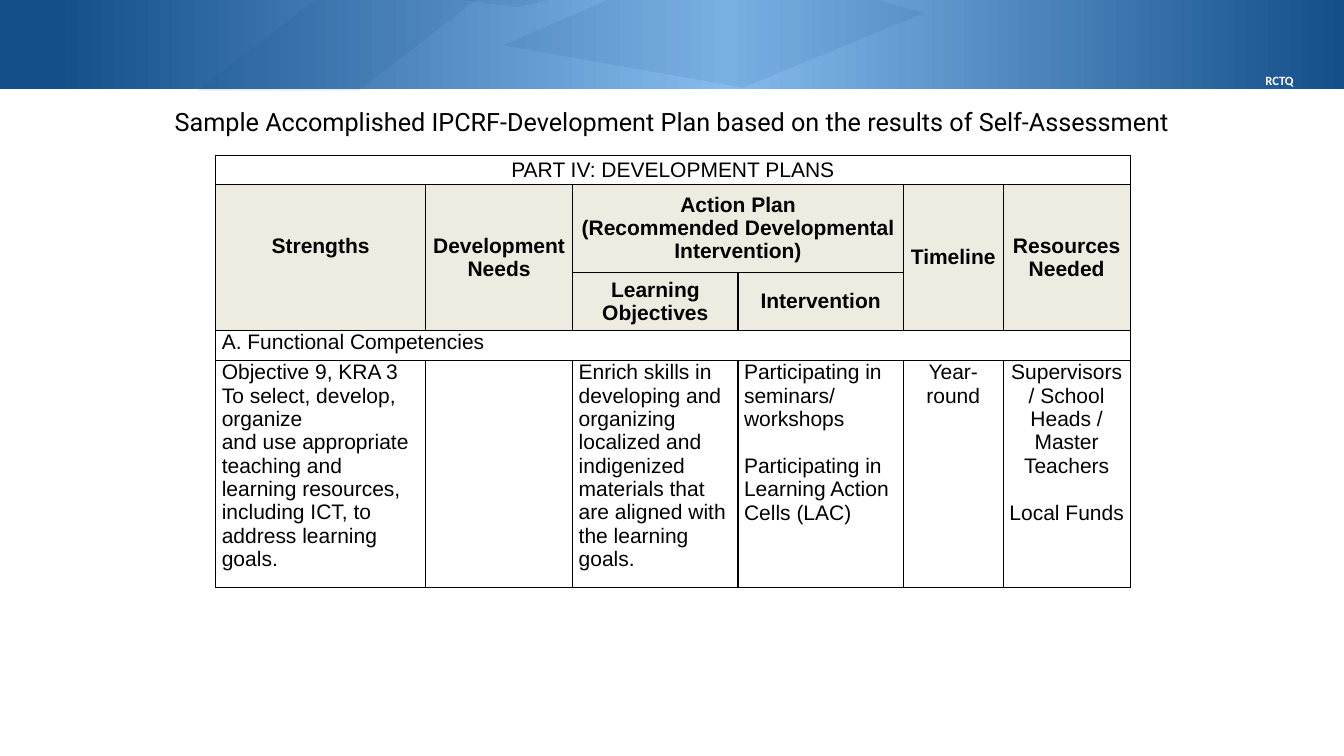
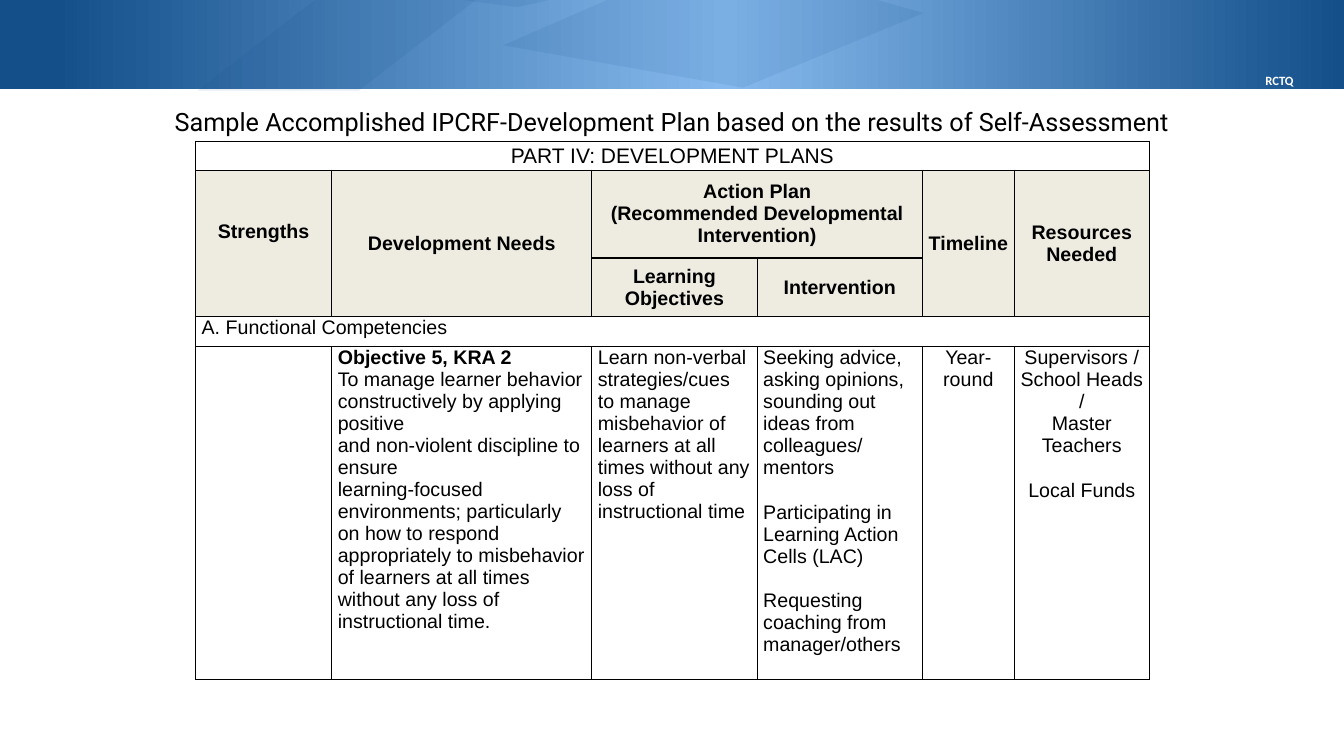
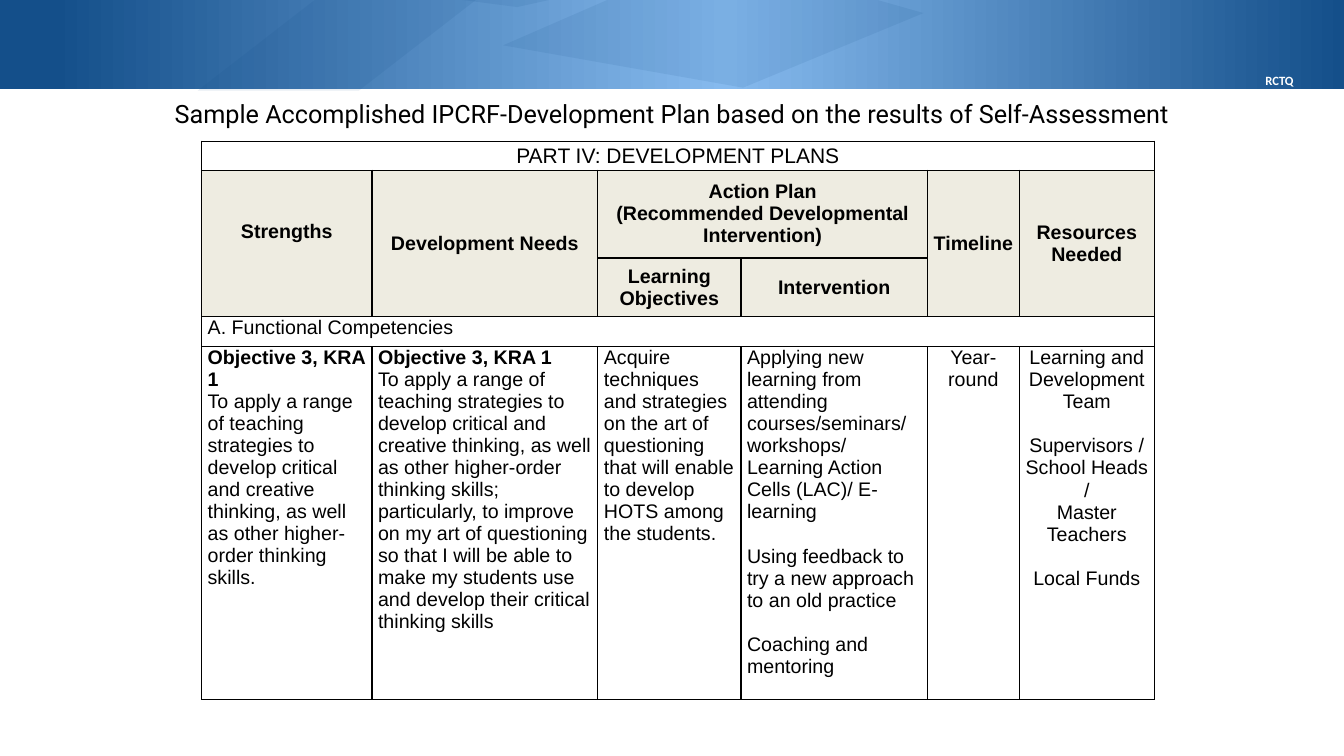
"""Build three slides that show sample development plans from a self-assessment."""
from copy import deepcopy
from dataclasses import dataclass

from lxml.etree import SubElement
from pptx import Presentation
from pptx.dml.color import RGBColor
from pptx.enum.shapes import MSO_SHAPE as Preset, PP_PLACEHOLDER as Holder
from pptx.enum.text import MSO_ANCHOR as Anchor, MSO_AUTO_SIZE as AutoSize, PP_ALIGN as Align
from pptx.oxml.ns import qn
from pptx.slide import Slide, SlideLayout
from pptx.table import _Cell as Cell, Table
from pptx.text.text import TextFrame
from pptx.util import Inches, Pt

NAVY = RGBColor(0x14, 0x4F, 0x8A)
SKY = RGBColor(0x86, 0xBA, 0xEE)
IVORY = RGBColor(0xEE, 0xEC, 0xE1)
BLACK = RGBColor(0, 0, 0)
WHITE = RGBColor(0xFF, 0xFF, 0xFF)

BAND_STOPS = ((0.04, NAVY), (0.54, SKY), (1.0, NAVY))
FACETS = (
    ((4.99, 0.45), (7.08, -0.46), (9.16, 0.13), (7.37, 0.87)),
    ((2.58, -0.26), (4.57, -1.12), (5.85, -0.09), (5.13, 0.07)),
)
TITLE = "Sample Accomplished IPCRF-Development Plan based on the results of Self-Assessment"
HEAD_ROWS = (0.29, 0.87, 0.58, 0.3)
LINE_HEIGHT = 1.15
CENTERED_COLUMNS = (4, 5)


@dataclass(frozen=True)
class Style:
    """Look of the text in one table cell."""
    size: int
    align: Align = Align.LEFT
    anchor: Anchor = Anchor.TOP
    bottom: float = 0


@dataclass(frozen=True)
class Line:
    """One paragraph, set off by an empty line when gap is true."""
    text: str
    bold: bool = False
    gap: bool = False


@dataclass(frozen=True)
class Merge:
    """One header block from its top left cell to its bottom right cell."""
    text: str
    start: tuple[int, int]
    end: tuple[int, int]
    bottom: float = 0


@dataclass(frozen=True)
class Plan:
    """One slide with its table place and its last row."""
    left: float
    top: float
    columns: tuple[float, ...]
    body_height: float
    size: int
    body: tuple[tuple[Line, ...], ...]
    title_top: float = 1.0


HEADERS = (
    Merge("Strengths", (1, 0), (2, 0), 0.23),
    Merge("Development Needs", (1, 1), (2, 1)),
    Merge("Action Plan\n(Recommended Developmental Intervention)", (1, 2), (1, 3)),
    Merge("Timeline", (1, 4), (2, 4)),
    Merge("Resources Needed", (1, 5), (2, 5)),
    Merge("Learning Objectives", (2, 2), (2, 2)),
    Merge("Intervention", (2, 3), (2, 3)),
)
YEAR_ROUND = (Line("Year-round"),)
STAFF = (
    Line("Supervisors / School Heads /"),
    Line("Master Teachers"),
    Line("Local Funds", gap=True),
)
LEARNING_CELLS = (
    Line("Participating in", gap=True),
    Line("Learning Action"),
    Line("Cells (LAC)"),
)
STRATEGIES = (
    "To apply a range of teaching strategies to develop critical and creative thinking, "
    "as well as other higher-order thinking skills"
)

PLANS = (
    Plan(2.14, 1.54, (2.08, 1.46, 1.64, 1.64, 0.99, 1.26), 2.25, 15, (
        (
            Line("Objective 9, KRA 3"),
            Line("To select, develop, organize"),
            Line("and use appropriate teaching and"),
            Line("learning resources, including ICT, to"),
            Line("address learning goals."),
        ),
        (),
        (Line("Enrich skills in developing and organizing localized and indigenized "
              "materials that are aligned with the learning goals."),),
        (Line("Participating in seminars/"), Line("workshops"), *LEARNING_CELLS),
        YEAR_ROUND,
        STAFF,
    )),
    Plan(1.94, 1.4, (1.35, 2.58, 1.64, 1.64, 0.91, 1.34), 3.3, 14, (
        (),
        (
            Line("Objective 5, KRA 2", bold=True),
            Line("To manage learner behavior"),
            Line("constructively by applying positive"),
            Line("and non-violent discipline to ensure"),
            Line("learning-focused environments; particularly on how to respond "
                 "appropriately to misbehavior of learners at all times without any "
                 "loss of instructional time."),
        ),
        (Line("Learn non-verbal strategies/cues to manage misbehavior of learners at "
              "all times without any loss of instructional time"),),
        (
            Line("Seeking advice,"),
            Line("asking opinions,"),
            Line("sounding out ideas from colleagues/ mentors"),
            *LEARNING_CELLS,
            Line("Requesting", gap=True),
            Line("coaching from"),
            Line("manager/others"),
        ),
        YEAR_ROUND,
        STAFF,
    )),
    Plan(2.0, 1.4, (1.69, 2.24, 1.42, 1.85, 0.91, 1.34), 3.5, 14, (
        (Line("Objective 3, KRA 1", bold=True), Line(STRATEGIES + ".")),
        (
            Line("Objective 3, KRA 1", bold=True),
            Line(STRATEGIES + "; particularly, to improve on my art of questioning so "
                 "that I will be able to make my students use and develop their "
                 "critical thinking skills"),
        ),
        (Line("Acquire techniques and strategies on the art of questioning that will "
              "enable to develop HOTS among the students."),),
        (
            Line("Applying new learning from attending courses/seminars/ workshops/ "
                 "Learning Action Cells (LAC)/ E-learning"),
            Line("Using feedback to try a new approach to an old practice", gap=True),
            Line("Coaching and mentoring", gap=True),
        ),
        YEAR_ROUND,
        (
            Line("Learning and Development Team"),
            Line("Supervisors / School Heads /", gap=True),
            *STAFF[1:],
        ),
    ), 0.93),
)


def add_text(frame: TextFrame, lines: tuple[Line, ...], style: Style,
             font: str = "Arial", color: RGBColor = BLACK) -> None:
    """Write the lines into a frame, run by run."""
    for index, line in enumerate(lines):
        para = frame.add_paragraph() if index else frame.paragraphs[0]
        para.alignment = style.align
        para.space_before = Pt(round(style.size * LINE_HEIGHT) if line.gap else 0)
        for part, words in enumerate(line.text.split("\n")):
            if part:
                para.add_line_break()
            span = para.add_run()
            span.text = words
            span.font.name = font
            span.font.size = Pt(style.size)
            span.font.bold = line.bold
            span.font.color.rgb = color


def finish(shape) -> None:
    """Take the outline and the shadow off a shape."""
    shape.line.fill.background()
    shape.shadow.inherit = False


def tint(shape) -> None:
    """Fill a shape with a faint navy."""
    shape.fill.solid()
    shape.fill.fore_color.rgb = NAVY
    color = shape.element.find(".//" + qn("a:srgbClr"))
    SubElement(color, qn("a:alpha"), val="10000")
    finish(shape)


def add_band(page: Slide) -> None:
    """Draw the blue top band with its facets and its label."""
    shapes = page.shapes
    band = shapes.add_shape(Preset.RECTANGLE, 0, 0, Inches(13.33), Inches(0.88))
    band.fill.gradient()
    band.fill.gradient_angle = 0
    stops = band.element.find(".//" + qn("a:gsLst"))
    stops.append(deepcopy(stops[-1]))
    for stop, (position, color) in zip(band.fill.gradient_stops, BAND_STOPS):
        stop.position = position
        stop.color.rgb = color
    finish(band)

    slant = shapes.add_shape(Preset.PARALLELOGRAM, Inches(1.96), Inches(-1.28),
                             Inches(4.41), Inches(2.18))
    slant.adjustments[0] = 1.29
    tint(slant)
    for facet in FACETS:
        start, *rest = [(Inches(x), Inches(y)) for x, y in facet]
        outline = shapes.build_freeform(*start, scale=1.0)
        outline.add_line_segments(rest, close=True)
        tint(outline.convert_to_shape())

    label = shapes.add_textbox(Inches(12.05), Inches(0.67), Inches(1.28), Inches(0.3))
    label.text_frame.word_wrap = True
    add_text(label.text_frame, (Line("RCTQ", bold=True),), Style(9, Align.CENTER),
             "Calibri", WHITE)


def share_band(page: Slide, layout: SlideLayout) -> None:
    """Draw the band once and hand it to the layout."""
    for holder in list(layout.placeholders):
        if holder.placeholder_format.type != Holder.TITLE:
            layout.shapes.element.remove(holder.element)
    add_band(page)
    for shape in list(page.shapes):
        if not shape.is_placeholder:
            layout.shapes.element.append(shape.element)


def add_title(page: Slide, top: float) -> None:
    """Place and format the title."""
    title = page.shapes.title
    title.left, title.top = Inches(0.79), Inches(top)
    title.width, title.height = Inches(11.75), Inches(0.4)
    frame = title.text_frame
    frame.word_wrap = True
    frame.auto_size = AutoSize.NONE
    frame.vertical_anchor = Anchor.TOP
    add_text(frame, (Line(TITLE),), Style(18, Align.CENTER), "Roboto")


def frame_cell(cell: Cell) -> None:
    """Give a cell its margins, black borders and no fill."""
    cell.margin_left = cell.margin_right = Inches(0.06)
    cell.margin_top = cell.margin_bottom = 0
    properties = cell._tc.get_or_add_tcPr()
    for side in ("a:lnL", "a:lnR", "a:lnT", "a:lnB"):
        border = SubElement(properties, qn(side), w=str(Pt(1)))
        fill = SubElement(border, qn("a:solidFill"))
        SubElement(fill, qn("a:srgbClr"), val=str(BLACK))
    cell.fill.background()


def write_cell(cell: Cell, lines: tuple[Line, ...], style: Style) -> None:
    """Write the lines into a cell."""
    cell.vertical_anchor = style.anchor
    cell.margin_bottom = Inches(style.bottom)
    add_text(cell.text_frame, lines, style)


def add_headers(table: Table, size: int) -> None:
    """Merge and fill the rows above the plan itself."""
    for row in (0, 3):
        table.cell(row, 0).merge(table.cell(row, 5))
    write_cell(table.cell(0, 0), (Line("PART IV: DEVELOPMENT PLANS"),),
               Style(15, Align.CENTER, Anchor.MIDDLE))
    write_cell(table.cell(3, 0), (Line("A. Functional Competencies"),), Style(size))
    for header in HEADERS:
        cell = table.cell(*header.start)
        if header.start != header.end:
            cell.merge(table.cell(*header.end))
        cell.fill.solid()
        cell.fill.fore_color.rgb = IVORY
        write_cell(cell, (Line(header.text, bold=True),),
                   Style(size, Align.CENTER, Anchor.MIDDLE, header.bottom))


def add_plan(page: Slide, plan: Plan) -> None:
    """Draw the table of one plan."""
    heights = (*HEAD_ROWS, plan.body_height)
    table = page.shapes.add_table(
        len(heights), len(plan.columns), Inches(plan.left), Inches(plan.top),
        Inches(sum(plan.columns)), Inches(sum(heights))).table
    table.first_row = table.horz_banding = False
    for column, width in zip(table.columns, plan.columns):
        column.width = Inches(width)
    for row, height in zip(table.rows, heights):
        row.height = Inches(height)
    for cell in table.iter_cells():
        frame_cell(cell)
    add_headers(table, plan.size)
    for column, lines in enumerate(plan.body):
        align = Align.CENTER if column in CENTERED_COLUMNS else Align.LEFT
        write_cell(table.cell(4, column), lines, Style(plan.size, align))


def main() -> None:
    """Build and save the deck."""
    deck = Presentation()
    deck.slide_width, deck.slide_height = Inches(13.33), Inches(7.5)
    layout = deck.slide_layouts[5]
    pages = [deck.slides.add_slide(layout) for _ in PLANS]
    share_band(pages[0], layout)
    for page, plan in zip(pages, PLANS):
        add_title(page, plan.title_top)
        add_plan(page, plan)
    deck.save("out.pptx")


if __name__ == "__main__":
    main()
